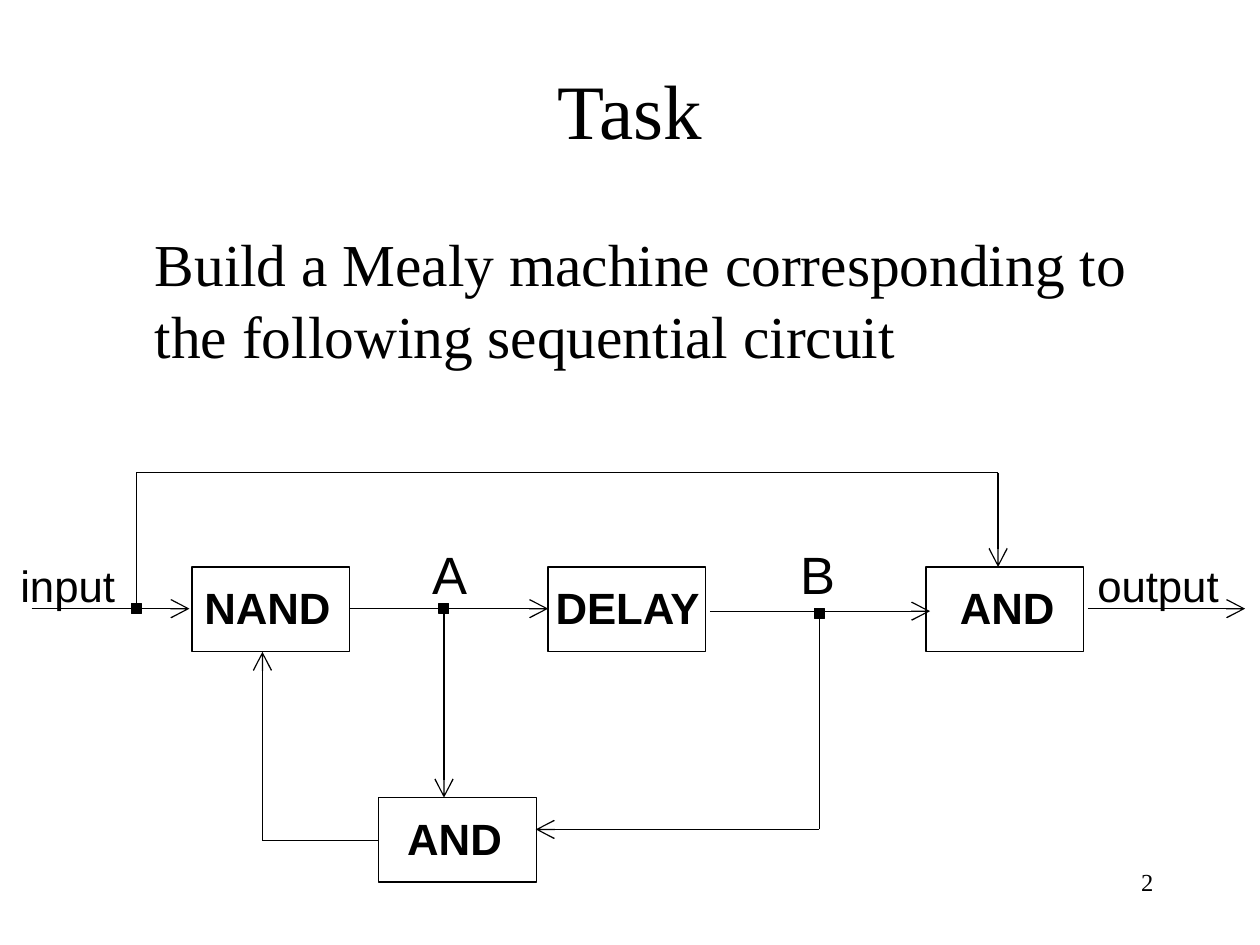
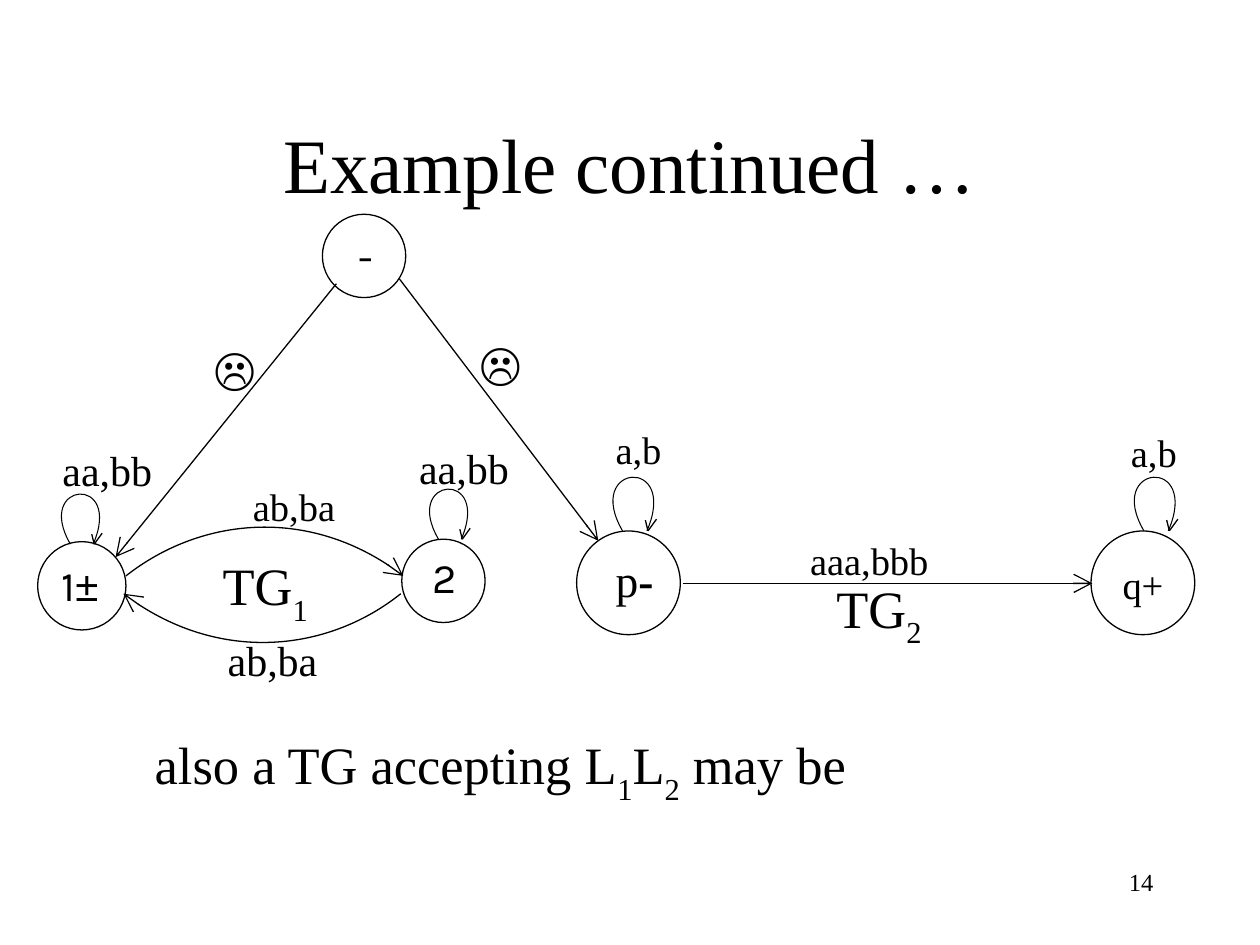
from dataclasses import dataclass
from typing import Any

from lxml import etree
from pptx import Presentation
from pptx.dml.color import RGBColor
from pptx.enum.shapes import MSO_CONNECTOR, MSO_SHAPE
from pptx.enum.text import MSO_ANCHOR, PP_ALIGN
from pptx.oxml.ns import qn
from pptx.util import Cm, Pt

RECT, OVAL = MSO_SHAPE.RECTANGLE, MSO_SHAPE.OVAL
STRAIGHT = MSO_CONNECTOR.STRAIGHT
LEFT, CENTER, RIGHT = PP_ALIGN.LEFT, PP_ALIGN.CENTER, PP_ALIGN.RIGHT
TOP, MIDDLE = MSO_ANCHOR.TOP, MSO_ANCHOR.MIDDLE
BLACK, WHITE = "000000", "FFFFFF"
SERIF, SANS, KARLA, ICON = "Times New Roman", "Arial", "Karla", "Cambria"


def color(code):
    return RGBColor.from_string(code)


def stroke(line, width=0.75, arrow=False):
    line.color.rgb = color(BLACK)
    line.width = Pt(width)
    if arrow:
        etree.SubElement(line._get_or_add_ln(), qn("a:tailEnd"),
                         type="arrow", w="lg", len="lg")


@dataclass
class Pane:
    slide: Any
    left: float
    top: float

    def spot(self, x, y):
        return Cm(self.left + x), Cm(self.top + y)

    def text(self, text, x, y, w, h, size, font, align=LEFT, anchor=TOP, bold=False):
        box = self.slide.shapes.add_textbox(*self.spot(x, y), Cm(w), Cm(h))
        frame = box.text_frame
        frame.word_wrap = True
        frame.vertical_anchor = anchor
        para = frame.paragraphs[0]
        para.alignment = align
        para.font.name, para.font.size, para.font.bold = font, Pt(size), bold
        para.font.color.rgb = color(BLACK)
        for part in [text] if isinstance(text, str) else text:
            run = para.add_run()
            run.text = part.lstrip("_")
            if part.startswith("_"):
                run._r.get_or_add_rPr().set("baseline", "-30000")
        return frame

    def shape(self, kind, x, y, w, h, fill=None):
        shape = self.slide.shapes.add_shape(kind, *self.spot(x, y), Cm(w), Cm(h))
        shape.shadow.inherit = False
        if fill:
            shape.fill.solid()
            shape.fill.fore_color.rgb = color(fill)
        else:
            shape.fill.background()
        stroke(shape.line)

    def wire(self, *points, arrow=True):
        for i, (start, end) in enumerate(zip(points, points[1:]), 2):
            line = self.slide.shapes.add_connector(
                STRAIGHT, *self.spot(*start), *self.spot(*end))
            stroke(line.line, arrow=arrow and i == len(points))
            etree.SubElement(line._element.spPr, qn("a:effectLst"))

    def trace(self, *points, width=0.75, arrow=False):
        spots = [self.spot(*p) for p in points]
        pen = self.slide.shapes.build_freeform(*spots[0])
        pen.add_line_segments(spots[1:], close=False)
        shape = pen.convert_to_shape()
        shape.shadow.inherit = False
        shape.fill.background()
        stroke(shape.line, width, arrow)
        return shape

    def curve(self, *points, width=0.75, arrow=False):
        shape = self.trace(*points, width=width, arrow=arrow)
        legs = list(shape._element.iter(qn("a:lnTo")))
        bend = etree.SubElement(legs[0].getparent(), qn("a:cubicBezTo"))
        for leg in legs:
            bend.append(leg[0])
            leg.getparent().remove(leg)


def page(deck, title, top, number):
    slide = deck.slides.add_slide(deck.slide_layouts[6])
    pane = Pane(slide, 0, 0)
    pane.text(title, 1.9, top, 21.6, 3.18, 44, SERIF, CENTER, MIDDLE)
    pane.text(number, 18.2, 17.35, 5.3, 1.27, 14, SERIF, RIGHT)
    return slide


def note(slide, text, top, high, size, drop=0.13):
    frame = Pane(slide, 1.9, top).text(text, 0, 0, 21.6, high, size, SERIF)
    frame.margin_left, frame.margin_top = Cm(1.22), Cm(drop)


def circuit(slide, left, top):
    pane = Pane(slide, left, top)
    row, roof = 2.74, 1.9
    for name, x, y, shift in (("NAND", 3.23, roof, 0), ("DELAY", 10.41, roof, -0.1),
                              ("AND", 18.03, roof, 0.43), ("AND", 6.99, 6.55, 0.33)):
        pane.shape(RECT, x, y, 3.18, 1.7)
        pane.text(name, x + shift, y + 0.16, 4.45, 1.32, 25, SANS, bold=True)
    pane.wire((0, row), (3.18, row))
    pane.wire((6.4, row), (10.41, row))
    pane.wire((13.67, 2.79), (18.11, 2.79))
    pane.wire((21.29, row), (24.46, row))
    pane.wire((8.31, row), (8.31, 6.55))
    pane.wire((6.99, 7.42), (4.65, 7.42), (4.65, 3.61))
    pane.wire((15.88, row), (15.88, 7.19), (10.16, 7.19))
    pane.wire((2.11, row), (2.11, 0), (19.48, 0), (19.48, roof))
    for x, y in ((2.11, row), (8.31, row), (15.88, 2.84)):
        pane.shape(RECT, x - 0.1, y - 0.1, 0.2, 0.2, BLACK)
    for name, x, y, wide, size, align in (
            ("input", -0.48, 1.6, 2.59, 25, LEFT),
            ("A", 7.83, 1.27, 1.27, 30, LEFT),
            ("B", 15.25, 1.27, 1.27, 30, LEFT),
            ("output", 20.9, 1.6, 3.61, 25, CENTER)):
        pane.text(name, x, y, wide, 1.32, size, SANS, align)


def loop(pane, x, y, scale):
    def grow(*points):
        return [(x + dx * scale, y + dy * scale) for dx, dy in points]

    pane.curve(*grow((0, 0), (-0.74, -1.27), (1.07, -1.42), (0.46, 0)), width=0.6)
    pane.trace(*grow((0.48, 0), (0.64, -0.22)))
    pane.trace(*grow((0.43, -0.2), (0.48, 0)))


def graph(slide, left, top):
    pane = Pane(slide, left, top)
    for x, y, wide in ((6.58, 0.84, 1.68), (0.89, 7.49, 1.78), (8.18, 7.39, 1.68),
                       (11.91, 7.43, 2.09), (22.28, 7.43, 2.09)):
        pane.shape(OVAL, x - wide / 2, y - wide / 2, wide, wide, WHITE)
    for x, y, scale in ((0.66, 6.65, 1), (8.08, 6.55, 1),
                        (11.79, 6.38, 1.07), (22.3, 6.38, 1.07)):
        loop(pane, x, y, scale)
    pane.curve((1.78, 7.29), (3.23, 6.15), (5.54, 5.87), (7.37, 7.29), arrow=True)
    pane.curve((7.32, 7.65), (5.89, 8.79), (3.58, 9.07), (1.73, 7.65), arrow=True)
    pane.wire((13, 7.44), (21.26, 7.44))
    pane.wire((6.02, 1.4), (1.57, 6.91))
    pane.wire((7.29, 1.3), (11.3, 6.58))
    for text, x, y, wide, size, font in (
            ("-", 6.22, 0.2, 1.96, 24, KARLA),
            ("2", 7.7, 6.68, 1.96, 24, KARLA),
            ("q+", 21.62, 6.86, 2.49, 22, SERIF),
            ("aa,bb", 0.25, 4.52, 2.77, 24, SERIF),
            ("aa,bb", 7.44, 4.47, 2.77, 24, SERIF),
            ("ab,ba", 4.09, 5.3, 2.57, 22, SERIF),
            ("ab,ba", 3.58, 8.34, 2.77, 24, SERIF),
            ("a,b", 11.4, 4.14, 2.49, 22, SERIF),
            ("a,b", 21.79, 4.2, 2.49, 22, SERIF),
            ("aaa,bbb", 15.32, 6.38, 3.61, 22, SERIF),
            (("TG", "_1"), 3.48, 6.71, 3.38, 30, SERIF),
            (("TG", "_2"), 15.85, 7.16, 3.38, 30, SERIF),
            ("☹", 3.3, 2.42, 2.97, 26, ICON),
            ("☹", 8.66, 2.3, 2.97, 26, ICON)):
        pane.text(text, x, y, wide, 1.32, size, font)
    one = pane.text(("1", "±"), 0.23, 6.83, 1.96, 0.99, 24, KARLA)
    one.paragraphs[0].runs[1].font.name = SANS
    last = pane.text(("p", "-"), 11.4, 6.68, 2.49, 1.7, 26, SERIF)
    last.paragraphs[0].runs[1].font.bold = True


def main():
    deck = Presentation()
    deck.slide_width, deck.slide_height = Cm(25.4), Cm(19.05)
    task = page(deck, "Task", 0.6, "2")
    note(task, "Build a Mealy machine corresponding to the following sequential circuit",
         4.45, 12.5, 34)
    circuit(task, 0.64, 9.53)
    more = page(deck, "Example continued …", 1.7, "14")
    note(more, ("also a TG accepting L", "_1", "L", "_2", " may be"), 5.5, 11.43, 30, 9.26)
    graph(more, 0.76, 4.32)
    deck.save("out.pptx")


if __name__ == "__main__":
    main()
